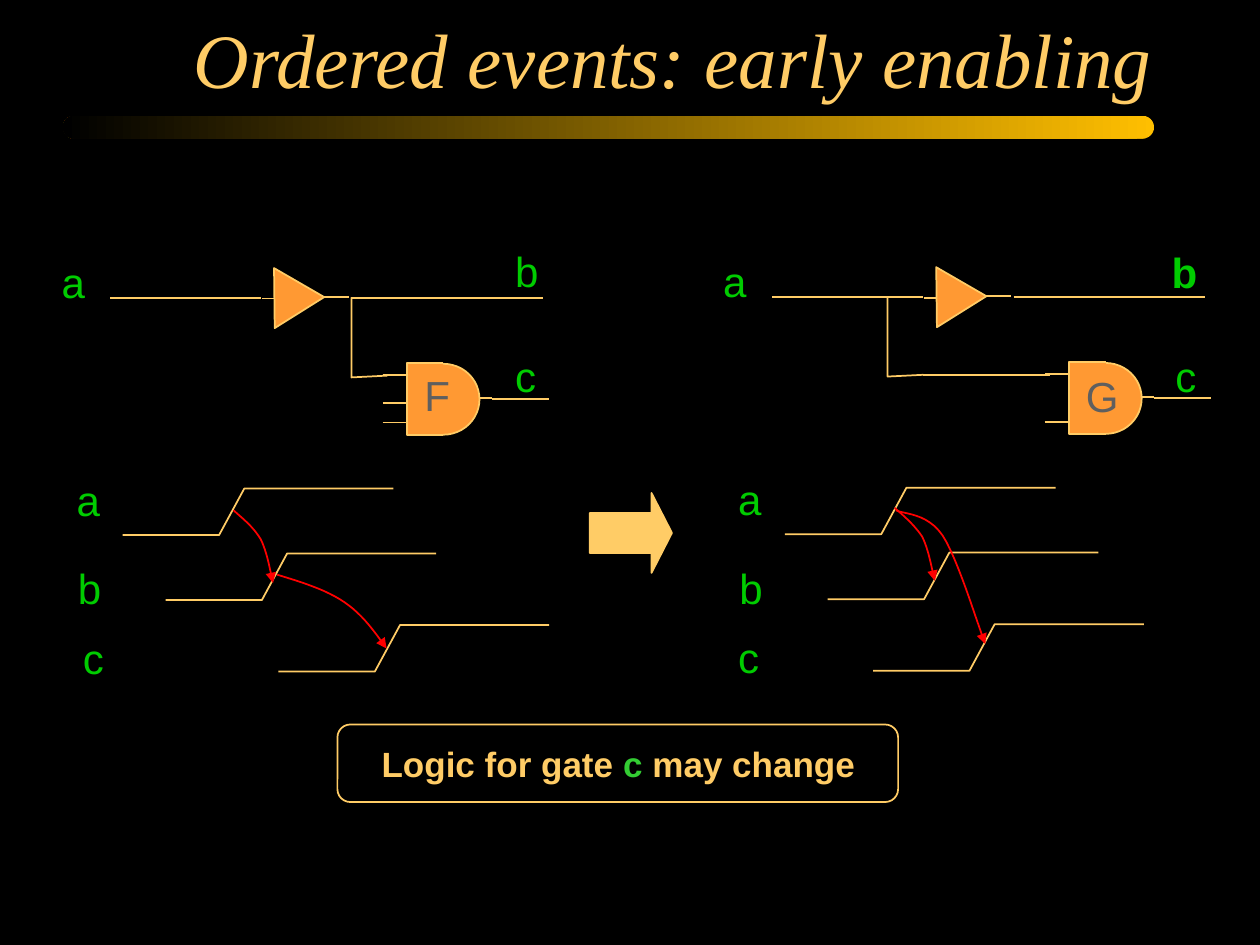
"""Build the slide on early enabling of ordered events in a logic circuit."""
import pptx
import pptx.util
import pptx.dml.color
import pptx.enum.dml
import pptx.enum.shapes
import pptx.enum.text
import pptx.oxml
import pptx.oxml.ns
from dataclasses import dataclass

Pt = pptx.util.Pt
SHAPE = pptx.enum.shapes.MSO_SHAPE


@dataclass(frozen=True)
class Theme:
    back: str = "000000"
    gold: str = "FFCC66"
    bar: str = "FFBF00"
    gate: str = "FF9933"
    signal: str = "00CC00"
    accent: str = "33CC33"
    gate_text: str = "5F5F5F"
    cause: str = "FF0000"
    title_font: str = "Times New Roman"
    font: str = "Arial"
    title_size: float = 44
    label_size: float = 24
    note_size: float = 20


T = Theme()
TITLE = "Ordered events: early enabling"
NOTE = [("Logic for gate ", T.gold), ("c", T.accent), (" may change", T.gold)]
WAVE = [(0, 0), (55.1, 0), (69.5, -26.6), (154.7, -26.6)]
BRANCH = [(0, 0), (0, 45.7), (20.5, 44.7)]
BUFFER = [(156.6, 153.2), (157, 187.5), (185.3, 169.8), (156.6, 153.2)]
GATE_BODY = [(253.4, 207.4), (232.6, 207.4), (232.6, 248.6), (253.4, 248.6)]
WIRES = [
    (149.3, 170.2, 62.6, 170.2), (157, 170.6, 149.8, 170.6),
    (185.2, 169.8, 199.5, 169.8), (200.8, 170.2, 310.2, 170.2),
    (274.3, 227.5, 281.3, 227.5), (281.3, 227.8, 313.7, 227.8),
    (218.8, 214.4, 232.6, 214.4), (218.6, 241.5, 232.6, 241.5),
]
PANELS = [
    dict(
        origin=(0, 0), gate=("F", 235.4, 207.4), branch_x=200.8,
        wires=[(218.8, 230.4, 232.6, 230.4)],
        labels=[("a", 28.1, 143.3), ("b", 287.3, 136.8), ("c", 287.3, 196.6),
                ("a", 36.7, 267.8), ("b", 37.4, 318.2), ("c", 40.3, 357.8)],
        bold=[],
        waves=[(70.1, 305.8), (94.6, 342.9), (159.1, 383.8)],
        causes=[
            [(133.4, 291.6), (139, 296.6), (144.7, 301), (149, 308.2),
             (152.6, 315.4), (154.1, 324.7), (156, 333.2)],
            [(158.4, 328.4), (172.1, 332.6), (186.5, 337), (196.9, 344.2),
             (207.4, 351.4), (213.8, 360.7), (220.9, 370.6)],
        ],
    ),
    dict(
        origin=(378.4, -0.5), gate=("G", 235, 208.5), branch_x=128.8,
        wires=[(148.8, 214.9, 221.4, 214.9)],
        labels=[("a", 27.8, 143.2), ("b", 284, 138), ("c", 286.2, 197.1),
                ("a", 36.3, 267.8), ("b", 37, 318.2), ("c", 36.3, 357.8)],
        bold=[1],
        waves=[(70.1, 305.8), (94.6, 342.9), (120.5, 383.8)],
        causes=[
            [(133.5, 292.1), (137.8, 294.3), (151.5, 293.5), (160.2, 306.5),
             (168.8, 319.5), (179.6, 355.5), (184.6, 368.5)],
            [(132.8, 290.7), (138.6, 295.7), (144.3, 300.7), (148.6, 307.2),
             (152.2, 314.4), (153.7, 323.8), (155.8, 332.4)],
        ],
    ),
]


def rgb(color):
    return pptx.dml.color.RGBColor.from_string(color)


def style(sp, fill=None, line=T.gold):
    sp.shadow.inherit = False
    if fill:
        sp.fill.solid()
        sp.fill.fore_color.rgb = rgb(fill)
    else:
        sp.fill.background()
    if line:
        sp.line.color.rgb = rgb(line)
        sp.line.width = Pt(1)
    else:
        sp.line.fill.background()
    return sp


def add_preset(s, kind, box, fill=None, line=T.gold):
    return style(s.shapes.add_shape(kind, *map(Pt, box)), fill, line)


def add_path(s, points, fill=None, line=T.gold):
    pts = [(Pt(x), Pt(y)) for x, y in points]
    fb = s.shapes.build_freeform(*pts[0])
    fb.add_line_segments(pts[1:], close=False)
    return style(fb.convert_to_shape(), fill, line)


def add_wire(s, ends):
    cn = s.shapes.add_connector(
        pptx.enum.shapes.MSO_CONNECTOR.STRAIGHT, *map(Pt, ends))
    cn.line.color.rgb = rgb(T.gold)
    cn.line.width = Pt(1)
    cn._element.spPr.append(pptx.oxml.parse_xml(
        f"<a:effectLst {pptx.oxml.ns.nsdecls('a')}/>"))


def bezier(p0, p1, p2, p3, t):
    u = 1 - t
    return tuple(u**3 * a + 3 * u * u * t * b + 3 * u * t * t * c + t**3 * d
                 for a, b, c, d in zip(p0, p1, p2, p3))


def add_cause(s, controls, steps=12):
    points = [controls[0]]
    for i in range(0, len(controls) - 1, 3):
        points += [bezier(*controls[i:i + 4], k / steps)
                   for k in range(1, steps + 1)]
    sp = add_path(s, points, line=T.cause)
    sp.line._get_or_add_ln().append(pptx.oxml.parse_xml(
        f"<a:tailEnd {pptx.oxml.ns.nsdecls('a')} type='triangle'/>"))


def add_run(p, text, color, size, font=T.font, bold=False, italic=False):
    r = p.add_run()
    r.text = text
    r.font.name, r.font.size = font, Pt(size)
    r.font.bold, r.font.italic = bold, italic
    r.font.color.rgb = rgb(color)


def add_label(s, text, x, y, color=T.signal, bold=False):
    sp = s.shapes.add_textbox(Pt(x), Pt(y), Pt(28), Pt(36))
    sp.text_frame.word_wrap = False
    add_run(sp.text_frame.paragraphs[0], text, color, T.label_size, bold=bold)


def add_title(s):
    bar = add_preset(s, SHAPE.ROUNDED_RECTANGLE, (36, 66.2, 623.5, 13), line=None)
    bar.adjustments[0] = 0.5
    bar.fill.gradient()
    bar.fill.gradient_angle = 180
    for stop, color in zip(bar.fill.gradient_stops, (T.bar, T.back)):
        stop.color.rgb = rgb(color)
    sp = s.shapes.title
    sp.left, sp.top, sp.width, sp.height = map(Pt, (54, 5.8, 612, 54))
    tf = sp.text_frame
    tf.auto_size = pptx.enum.text.MSO_AUTO_SIZE.NONE
    tf.vertical_anchor = pptx.enum.text.MSO_ANCHOR.MIDDLE
    p = tf.paragraphs[0]
    p.alignment = pptx.enum.text.PP_ALIGN.RIGHT
    add_run(p, TITLE, T.gold, T.title_size, T.title_font, italic=True)


def add_panel(s, panel):
    dx, dy = panel["origin"]

    def shift(points, x=0, y=0):
        return [(px + x + dx, py + y + dy) for px, py in points]

    add_preset(s, SHAPE.OVAL, (232.8 + dx, 207.9 + dy, 41.2, 40.5), T.gate)
    add_path(s, shift(GATE_BODY), T.gate)
    add_path(s, shift(BUFFER), T.gate)
    for x1, y1, x2, y2 in WIRES + panel["wires"]:
        add_wire(s, (x1 + dx, y1 + dy, x2 + dx, y2 + dy))
    add_path(s, shift(BRANCH, panel["branch_x"], 170))
    for x, y in panel["waves"]:
        add_path(s, shift(WAVE, x, y))
    for controls in panel["causes"]:
        add_cause(s, shift(controls))
    for i, (text, x, y) in enumerate(panel["labels"]):
        add_label(s, text, x + dx, y + dy, bold=i in panel["bold"])
    name, x, y = panel["gate"]
    add_label(s, name, x + dx, y + dy, T.gate_text)


def add_note(s):
    sp = add_preset(s, SHAPE.ROUNDED_RECTANGLE, (192.8, 414, 320.4, 44.3))
    sp = s.shapes.add_textbox(Pt(211), Pt(420.5), Pt(285), Pt(31.7))
    sp.text_frame.word_wrap = False
    for text, color in NOTE:
        add_run(sp.text_frame.paragraphs[0], text, color, T.note_size, bold=True)


def main():
    prs = pptx.Presentation()
    prs.slide_width, prs.slide_height = Pt(720), Pt(540)
    s = prs.slides.add_slide(prs.slide_layouts[5])
    s.background.fill.solid()
    s.background.fill.fore_color.rgb = rgb(T.back)
    add_title(s)
    for panel in PANELS:
        add_panel(s, panel)
    arrow = add_preset(s, SHAPE.RIGHT_ARROW, (337, 281.7, 47, 45.7), T.gold)
    arrow.adjustments[1] = 0.256
    add_note(s)
    prs.save("out.pptx")


if __name__ == "__main__":
    main()
